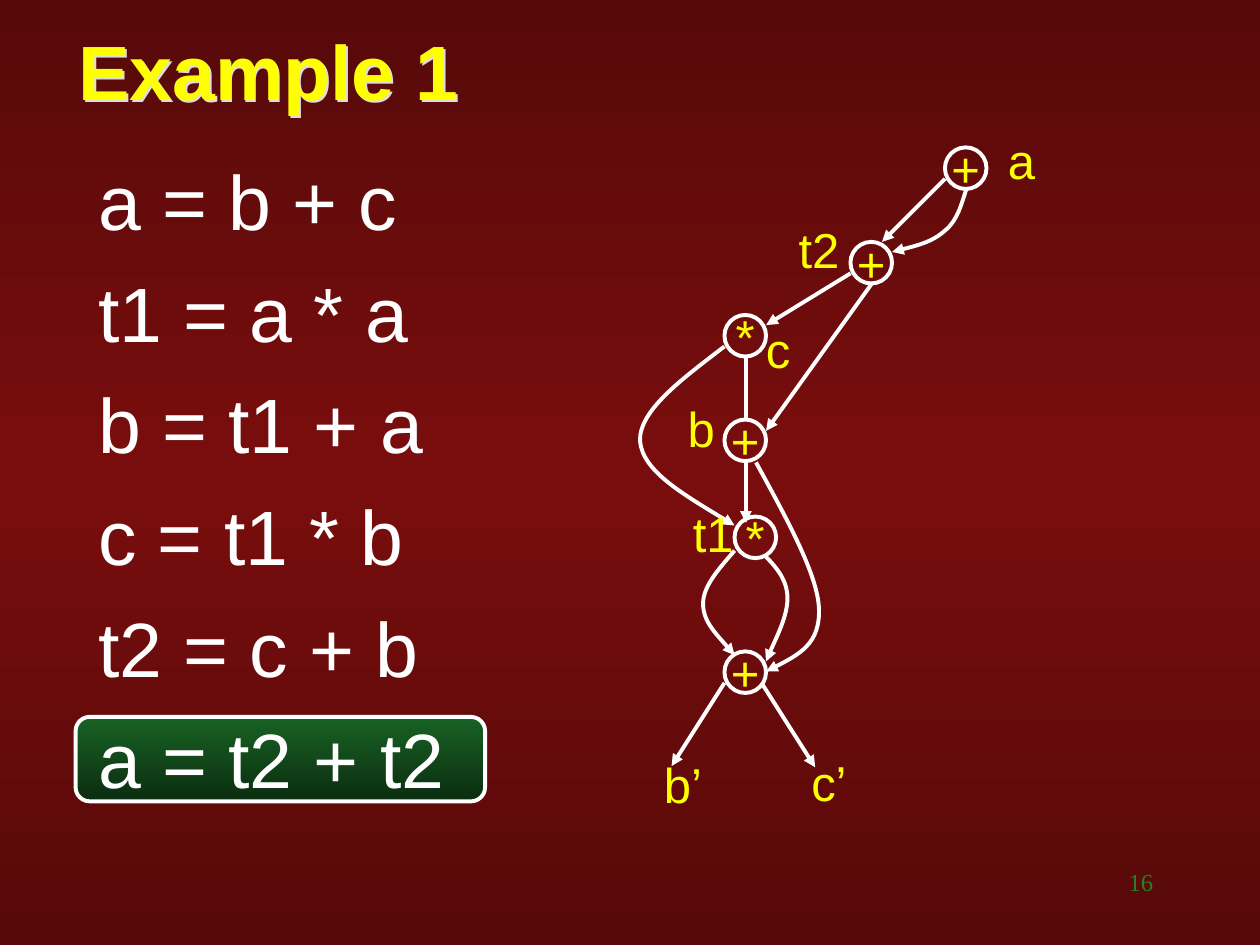
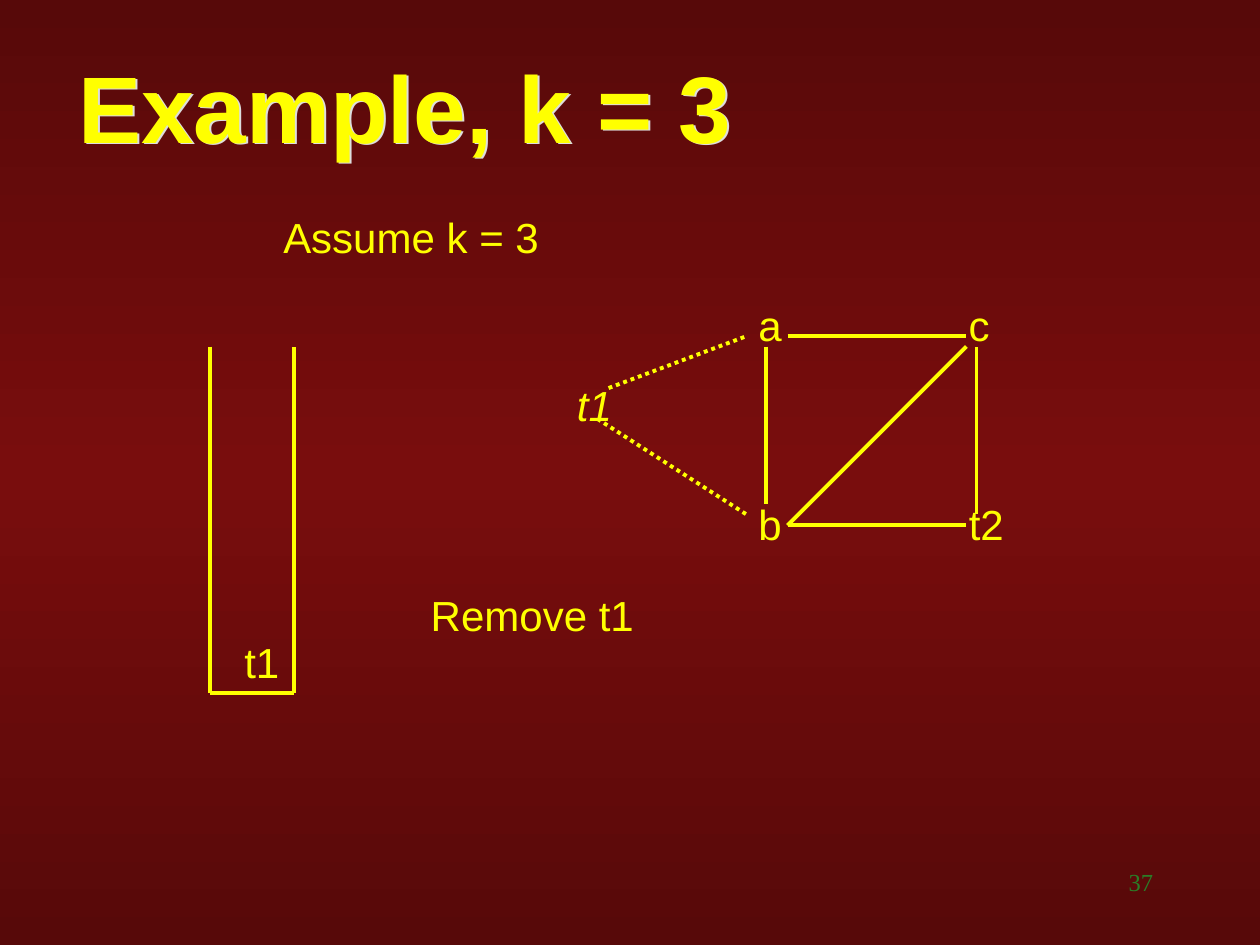
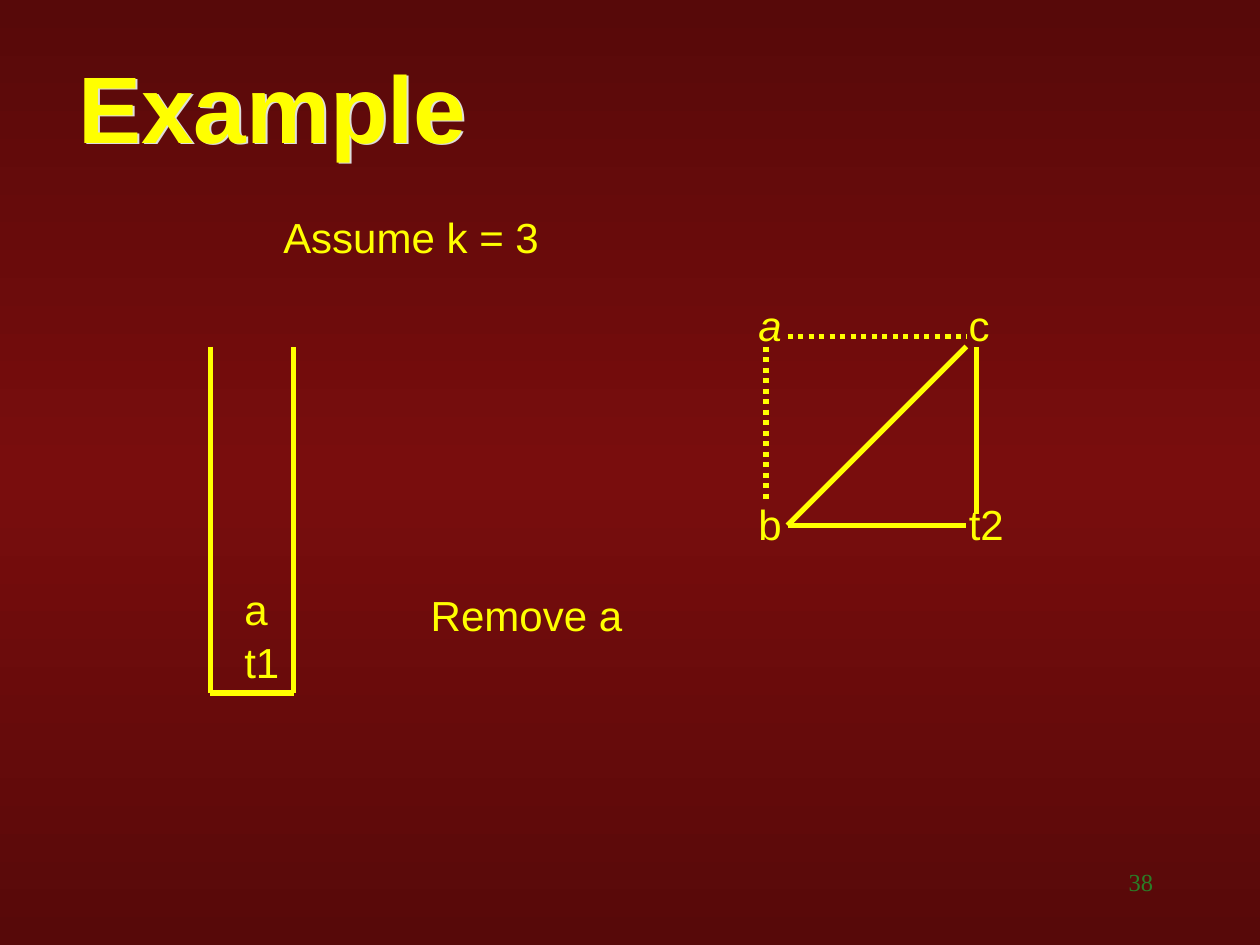
import copy

import pptx
import pptx.dml.color
import pptx.enum.dml
import pptx.enum.shapes
import pptx.enum.text
import pptx.oxml
import pptx.oxml.ns
import pptx.util

Inches = pptx.util.Inches
Pt = pptx.util.Pt
RGB = pptx.dml.color.RGBColor.from_string
qn = pptx.oxml.ns.qn
SHAPES = pptx.enum.shapes.MSO_SHAPE
ALIGN = pptx.enum.text.PP_ALIGN
ANCHOR = pptx.enum.text.MSO_ANCHOR
AUTO_SIZE = pptx.enum.text.MSO_AUTO_SIZE

COLORS = {
    "edge": "570909",
    "middle": "790D0D",
    "yellow": "FFFF00",
    "white": "FFFFFF",
    "shadow": "DDDDDD",
    "number": "2B7D27",
    "green_top": "186224",
    "green_bottom": "0B2D10",
}
NS = 'xmlns:a="http://schemas.openxmlformats.org/drawingml/2006/main"'
ARROWHEAD = f'<a:tailEnd {NS} type="triangle"/>'
EMPTY_EFFECTS = f"<a:effectLst {NS}/>"
TITLE_SHADOW = (
    f'<a:effectLst {NS}><a:outerShdw dist="20000" dir="2700000" algn="ctr" rotWithShape="0">'
    f'<a:srgbClr val="{COLORS["shadow"]}"/></a:outerShdw></a:effectLst>'
)


def write(frame, lines, size, color="yellow", font="Arial", align=ALIGN.LEFT,
          wrap=False, space=0, bold=False, italic=False):
    frame.word_wrap = wrap
    for index, line in enumerate(lines):
        paragraph = frame.add_paragraph() if index else frame.paragraphs[0]
        paragraph.alignment = align
        if index:
            paragraph.space_before = Pt(space)
        run = paragraph.add_run()
        run.text = line
        run.font.size = Pt(size)
        run.font.name = font
        run.font.bold = bold
        run.font.italic = italic
        run.font.color.rgb = RGB(COLORS[color])


def draw_line(slide, start, end, color, width, arrow=False, dotted=False):
    line = slide.shapes.add_connector(
        pptx.enum.shapes.MSO_CONNECTOR.STRAIGHT, *map(Inches, start + end))
    line.line.color.rgb = RGB(COLORS[color])
    line.line.width = Pt(width)
    if dotted:
        line.line.dash_style = pptx.enum.dml.MSO_LINE.ROUND_DOT
    properties = line.element.spPr
    if arrow:
        properties.find(qn("a:ln")).append(pptx.oxml.parse_xml(ARROWHEAD))
    properties.append(pptx.oxml.parse_xml(EMPTY_EFFECTS))


prs = pptx.Presentation()
prs.slide_width = Inches(10)
prs.slide_height = Inches(7.5)

backdrop = prs.slide_master.background.fill
backdrop.gradient()
backdrop.gradient_angle = 270
stop_list = prs.slide_master.element.find(".//" + qn("a:gsLst"))
stop_list.insert(1, copy.deepcopy(stop_list[0]))
for stop, position, name in zip(
        backdrop.gradient_stops, (0, 0.5, 1), ("edge", "middle", "edge")):
    stop.position = position
    stop.color.rgb = RGB(COLORS[name])

slides = []
for heading, top, size, number in (
        ("Example 1", 0.14, 44, "16"),
        ("Example, k = 3", 0.42, 54, "37"),
        ("Example", 0.42, 54, "38")):
    slide = prs.slides.add_slide(prs.slide_layouts[5])
    title = slide.shapes.title
    title.left, title.top = Inches(0.52), Inches(top)
    title.width, title.height = Inches(9.04), Inches(0.83)
    title.text_frame.vertical_anchor = ANCHOR.MIDDLE
    title.text_frame.auto_size = AUTO_SIZE.NONE
    write(title.text_frame, [heading], size, wrap=True, bold=True)
    title.element.spPr.append(pptx.oxml.parse_xml(TITLE_SHADOW))
    page = slide.shapes.add_textbox(
        Inches(7.17), Inches(6.83), Inches(2.08), Inches(0.5))
    write(page.text_frame, [number], 14, "number", "Times New Roman", ALIGN.RIGHT, True)
    slides.append(slide)

dag_slide, *coloring_slides = slides

highlight = dag_slide.shapes.add_shape(
    SHAPES.ROUNDED_RECTANGLE, Inches(0.6), Inches(5.69), Inches(3.25), Inches(0.67))
highlight.shadow.inherit = False
highlight.fill.gradient()
highlight.fill.gradient_angle = 270
for stop, name in zip(highlight.fill.gradient_stops, ("green_top", "green_bottom")):
    stop.color.rgb = RGB(COLORS[name])
highlight.line.color.rgb = RGB(COLORS["white"])
highlight.line.width = Pt(2.25)

statements = dag_slide.shapes.add_textbox(
    Inches(0.68), Inches(1.17), Inches(3.74), Inches(5.58))
write(statements.text_frame,
      ["a = b + c", "t1 = a * a", "b = t1 + a", "c = t1 * b", "t2 = c + b", "a = t2 + t2"],
      44, "white", wrap=True, space=11)

for operator, left, top in (
        ("+", 7.5, 1.17), ("+", 6.75, 1.92), ("*", 5.75, 2.5),
        ("+", 5.75, 3.33), ("*", 5.83, 4.1), ("+", 5.75, 5.17)):
    node = dag_slide.shapes.add_shape(
        SHAPES.OVAL, Inches(left), Inches(top), Inches(0.33), Inches(0.33))
    node.shadow.inherit = False
    node.fill.background()
    node.line.color.rgb = RGB(COLORS["white"])
    node.line.width = Pt(2.25)
    node.text_frame.vertical_anchor = ANCHOR.MIDDLE
    write(node.text_frame, [operator], 28, align=ALIGN.CENTER)

for start, end, arrow in (
        ((7.5, 1.42), (7, 1.92), True),
        ((6.75, 2.17), (6.08, 2.58), True),
        ((6.92, 2.25), (6.08, 3.42), True),
        ((5.92, 2.83), (5.92, 3.33), False),
        ((5.92, 3.65), (5.92, 4.15), True),
        ((5.75, 5.42), (5.33, 6.08), True),
        ((6.05, 5.43), (6.47, 6.09), True)):
    draw_line(dag_slide, start, end, "white", 2.25, arrow)

curves = [
    [(7.67, 1.5), (7.63, 1.62), (7.6, 1.75), (7.5, 1.83), (7.4, 1.92), (7.24, 1.96), (7.08, 2)],
    [(5.75, 2.75), (5.41, 3.01), (5.07, 3.26), (5.08, 3.5), (5.1, 3.74), (5.47, 3.95), (5.83, 4.17)],
    [(6, 3.67), (6.24, 4.11), (6.49, 4.56), (6.5, 4.83), (6.51, 5.11), (6.3, 5.22), (6.08, 5.33)],
    [(5.83, 4.37), (5.71, 4.51), (5.58, 4.65), (5.58, 4.79), (5.58, 4.93), (5.71, 5.06), (5.83, 5.2)],
    [(6.08, 4.42), (6.17, 4.51), (6.25, 4.61), (6.25, 4.75), (6.25, 4.89), (6.11, 5.17), (6.08, 5.25)],
]
for points in curves:
    start, *controls = [(Inches(x), Inches(y)) for x, y in points]
    builder = dag_slide.shapes.build_freeform(*start)
    builder.add_line_segments(controls, close=False)
    curve = builder.convert_to_shape()
    segments = curve.element.findall(".//" + qn("a:lnTo"))
    for first in range(0, len(segments), 3):
        bezier = pptx.oxml.parse_xml(f"<a:cubicBezTo {NS}/>")
        segments[first].addprevious(bezier)
        for segment in segments[first:first + 3]:
            bezier.append(segment[0])
            segment.getparent().remove(segment)
    curve.shadow.inherit = False
    curve.fill.background()
    curve.line.color.rgb = RGB(COLORS["white"])
    curve.line.width = Pt(2.25)
    curve.element.spPr.find(qn("a:ln")).append(pptx.oxml.parse_xml(ARROWHEAD))

dag_labels = [
    ("a", 7.9, 0.99, 0.42), ("t2", 6.24, 1.69, 0.54), ("c", 5.98, 2.49, 0.4),
    ("b", 5.36, 3.11, 0.42), ("t1", 5.4, 3.95, 0.54),
    ("b’", 5.17, 5.94, 0.51), ("c’", 6.34, 5.92, 0.49),
]
shared_labels = [
    ("Assume k = 3", 2.15, 1.63, 2.23), ("b", 5.92, 3.91, 0.38),
    ("c", 7.59, 2.33, 0.36), ("t2", 7.59, 3.91, 0.48), ("t1", 1.84, 5, 0.48),
]
first_labels = [("a", 5.92, 2.33, 0.38), ("Remove t1", 3.32, 4.63, 1.81)]
second_labels = [("a", 1.84, 4.58, 0.38), ("Remove a", 3.32, 4.63, 1.72)]
for slide, labels, size, height, removed in (
        (dag_slide, dag_labels, 28, 0.57, []),
        (coloring_slides[0], shared_labels + first_labels, 24, 0.5,
         [("t1", 4.48, 2.96, 0.48)]),
        (coloring_slides[1], shared_labels + second_labels, 24, 0.5,
         [("a", 5.92, 2.33, 0.38)])):
    for label in labels + removed:
        text, left, top, width = label
        box = slide.shapes.add_textbox(
            Inches(left), Inches(top), Inches(width), Inches(height))
        box.text_frame.auto_size = AUTO_SIZE.SHAPE_TO_FIT_TEXT
        write(box.text_frame, [text], size, italic=label in removed)

stack_and_graph = [
    ((1.67, 2.75), (1.67, 5.5)), ((1.67, 5.5), (2.33, 5.5)), ((2.33, 5.5), (2.33, 2.75)),
    ((7.67, 2.75), (6.25, 4.17)), ((6.25, 4.17), (7.67, 4.17)), ((7.75, 4.08), (7.75, 2.75)),
]
a_edges = [((6.25, 2.67), (7.67, 2.67)), ((6.08, 2.75), (6.08, 4))]
t1_edges = [((4.83, 3.08), (5.92, 2.67)), ((5.92, 4.08), (4.75, 3.33))]
for slide, solid_edges, removed_edges, width in (
        (coloring_slides[0], stack_and_graph + a_edges, t1_edges, 2.25),
        (coloring_slides[1], stack_and_graph, a_edges, 3)):
    for start, end in solid_edges:
        draw_line(slide, start, end, "yellow", width)
    for start, end in removed_edges:
        draw_line(slide, start, end, "yellow", width, dotted=True)

prs.save("out.pptx")
